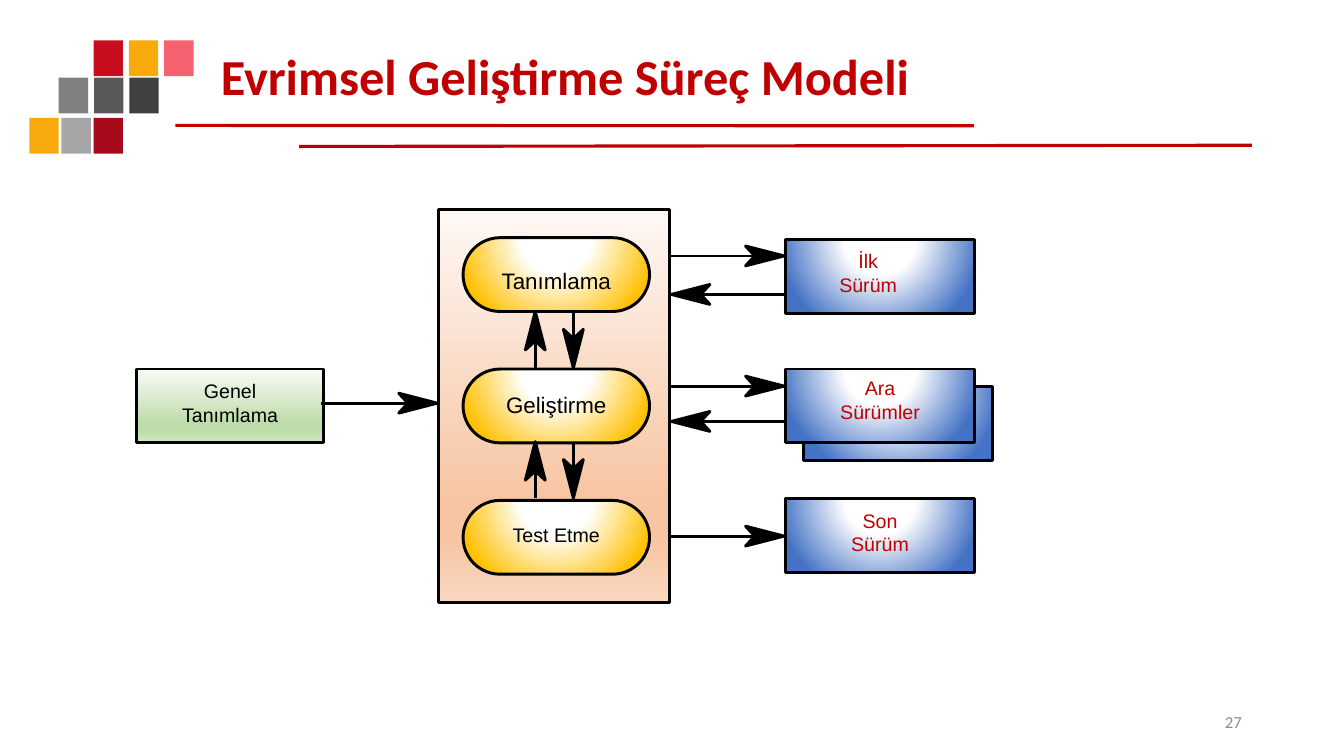
from dataclasses import dataclass
from math import hypot

from lxml.etree import SubElement
from pptx import Presentation
from pptx.dml.color import RGBColor
from pptx.enum.shapes import MSO_CONNECTOR, MSO_SHAPE
from pptx.enum.text import MSO_ANCHOR, PP_ALIGN
from pptx.oxml import parse_xml
from pptx.oxml.ns import nsdecls, qn
from pptx.util import Cm, Pt


@dataclass(frozen=True)
class Theme:
    red: str = "C00000"
    black: str = "000000"
    grey: str = "8C8C8C"
    # Gradients: (position in percent, colour)
    blue: tuple = ((0, "FFFFFF"), (35, "FFFFFF"), (100, "4472C4"))
    gold: tuple = ((0, "FFFFFF"), (35, "FFFFFF"), (100, "FFC000"))
    peach: tuple = ((0, "FEF8F5"), (74, "F7C5A2"), (83, "F7C5A2"), (100, "FAD8C1"))
    green: tuple = ((0, "F8FBF6"), (74, "BEDCAA"), (83, "BEDCAA"), (100, "D4E8C6"))
    heading_font: str = "Calibri"
    label_font: str = "Arial"
    title: float = 36
    large: float = 16
    small: float = 14
    number: float = 12
    rule: float = 2.25
    outline: float = 2.1


theme = Theme()
RADIAL = ('<a:path path="circle"><a:fillToRect l="50000" t="-80000" '
          'r="50000" b="180000"/></a:path>')
LINEAR = '<a:lin ang="5400000" scaled="0"/>'


def fill_gradient(sp, stops, direction):
    """Replace the fill with a gradient of any number of stops."""
    sp.fill.gradient()
    old = sp._element.spPr.find(qn("a:gradFill"))
    stop_xml = "".join(
        f'<a:gs pos="{pos * 1000}"><a:srgbClr val="{color}"/></a:gs>'
        for pos, color in stops)
    new = parse_xml(f'<a:gradFill {nsdecls("a")} rotWithShape="1">'
                    f'<a:gsLst>{stop_xml}</a:gsLst>{direction}</a:gradFill>')
    old.getparent().replace(old, new)


def add_line(x1, y1, x2, y2, color, width):
    line = s.shapes.add_connector(
        MSO_CONNECTOR.STRAIGHT, Cm(x1), Cm(y1), Cm(x2), Cm(y2))
    line.line.color.rgb = RGBColor.from_string(color)
    line.line.width = Pt(width)
    SubElement(line._element.spPr, qn("a:effectLst"))


prs = Presentation()
prs.slide_width, prs.slide_height = Cm(33.87), Cm(19.05)
s = prs.slides.add_slide(prs.slide_layouts[5])

# Mosaic of squares: left, top, pitch, colours
mosaic = [
    (2.36, 1.02, 0.89, ("C80D1F", "F8A90C", "F5616F")),
    (1.48, 1.96, 0.89, ("808080", "595959", "404040")),
    (0.74, 2.97, 0.81, ("F8A90C", "A6A6A6", "A50B1A")),
]
for left, top, pitch, colors in mosaic:
    for i, color in enumerate(colors):
        sp = s.shapes.add_shape(MSO_SHAPE.RECTANGLE, Cm(left + i * pitch),
                                Cm(top), Cm(0.74), Cm(0.9))
        sp.shadow.inherit = False
        sp.fill.solid()
        sp.fill.fore_color.rgb = RGBColor.from_string(color)
        sp.line.fill.background()

add_line(4.42, 3.16, 24.54, 3.17, theme.red, theme.rule)
add_line(7.54, 3.69, 31.55, 3.66, theme.red, theme.rule)

# Title and slide number
title = s.shapes.title
title.left, title.top, title.width, title.height = Cm(5.31), Cm(1.02), Cm(26.21), Cm(1.96)
number = s.shapes.add_textbox(Cm(23.93), Cm(17.7), Cm(7.62), Cm(1.02))
for sp, text, size, color, align in [
    (title, "Evrimsel Geliştirme Süreç Modeli", theme.title, theme.red, PP_ALIGN.LEFT),
    (number, "27", theme.number, theme.grey, PP_ALIGN.RIGHT),
]:
    tf = sp.text_frame
    tf.word_wrap = True
    tf.vertical_anchor = MSO_ANCHOR.MIDDLE
    tf.text = text
    p = tf.paragraphs[0]
    p.alignment = align
    p.line_spacing = 0.9
    p.font.name = theme.heading_font
    p.font.size = Pt(size)
    p.font.bold = sp is title
    p.font.color.rgb = RGBColor.from_string(color)

# Boxes: shape, left, top, width, height, gradient, direction,
# lines of text, size, colour, top inset, right inset
RECT, PILL = MSO_SHAPE.RECTANGLE, MSO_SHAPE.ROUNDED_RECTANGLE
box_h, middle = 1.86, 9.3
stages = [("Tanımlama", theme.large, 0.46),
          ("Geliştirme", theme.large, 0.29),
          ("Test Etme", theme.small, 0.29)]
versions = [(("İlk", "Sürüm"), 0.25, 0.6),
            (("Ara", "Sürümler"), 0.18, 0),
            (("Son", "Sürüm"), 0.25, 0)]
boxes = [
    (RECT, 20.24, middle + 0.45, 4.78, box_h, theme.blue, RADIAL, (), 0, theme.red, 0, 0),
    (RECT, 11.05, 5.28, 5.82, 9.91, theme.peach, LINEAR, (), 0, theme.black, 0, 0),
    (RECT, 3.45, middle, 4.7, box_h, theme.green, LINEAR,
     ("Genel", "Tanımlama"), theme.small, theme.black, 0.25, 0),
]
for i, (text, size, inset) in enumerate(stages):
    boxes.append((PILL, 11.67, middle + (i - 1) * 3.31, 4.7, box_h, theme.gold,
                  RADIAL, (text,), size, theme.black, inset, 0))
for i, (lines, inset, right) in enumerate(versions):
    boxes.append((RECT, 19.79, middle + (i - 1) * 3.27, 4.78, box_h, theme.blue,
                  RADIAL, lines, theme.small, theme.red, inset, right))

for (kind, left, top, width, height, stops, direction,
     lines, size, color, inset, right) in boxes:
    sp = s.shapes.add_shape(kind, Cm(left), Cm(top), Cm(width), Cm(height))
    sp.shadow.inherit = False
    if kind == PILL:
        sp.adjustments[0] = 0.5
    fill_gradient(sp, stops, direction)
    sp.line.color.rgb = RGBColor.from_string(theme.black)
    sp.line.width = Pt(theme.outline)
    if not lines:
        continue
    tf = sp.text_frame
    tf.word_wrap = True
    tf.vertical_anchor = MSO_ANCHOR.TOP
    tf.margin_left = tf.margin_bottom = 0
    tf.margin_top, tf.margin_right = Cm(inset), Cm(right)
    tf.text = "\n".join(lines)
    for p in tf.paragraphs:
        p.alignment = PP_ALIGN.CENTER
        p.font.name = theme.label_font
        p.font.size = Pt(size)
        p.font.color.rgb = RGBColor.from_string(color)

# Arrows: tail x, tail y, tip x, tip y
panel_right, version_left = 16.84, 19.76
arrows = [(8.1, 10.16, 11.02, 10.16)]
arrows += [(panel_right, y, version_left, y) for y in (6.45, 9.73, 13.51)]
arrows += [(version_left, y, panel_right + 0.08, y) for y in (7.42, 10.62)]
for upper, lower in ((7.85, 9.27), (11.13, 12.55)):
    arrows += [(14.45, upper, 14.45, lower), (13.49, lower, 13.49, upper)]

head_length, head_notch, head_half = 0.97, 0.74, 0.25
for x1, y1, x2, y2 in arrows:
    length = hypot(x2 - x1, y2 - y1)
    ux, uy = (x2 - x1) / length, (y2 - y1) / length
    add_line(x1, y1, x2 - 0.6 * ux, y2 - 0.6 * uy, theme.black, theme.outline)
    outline = [(Cm(x2 - back * ux - side * uy), Cm(y2 - back * uy + side * ux))
               for back, side in ((0, 0), (head_length, head_half),
                                  (head_notch, 0), (head_length, -head_half))]
    builder = s.shapes.build_freeform(*outline[0])
    builder.add_line_segments(outline[1:], close=True)
    head = builder.convert_to_shape()
    head.shadow.inherit = False
    head.fill.solid()
    head.fill.fore_color.rgb = RGBColor.from_string(theme.black)
    head.line.color.rgb = RGBColor.from_string(theme.black)
    head.line.width = Pt(theme.outline)

prs.save("out.pptx")
